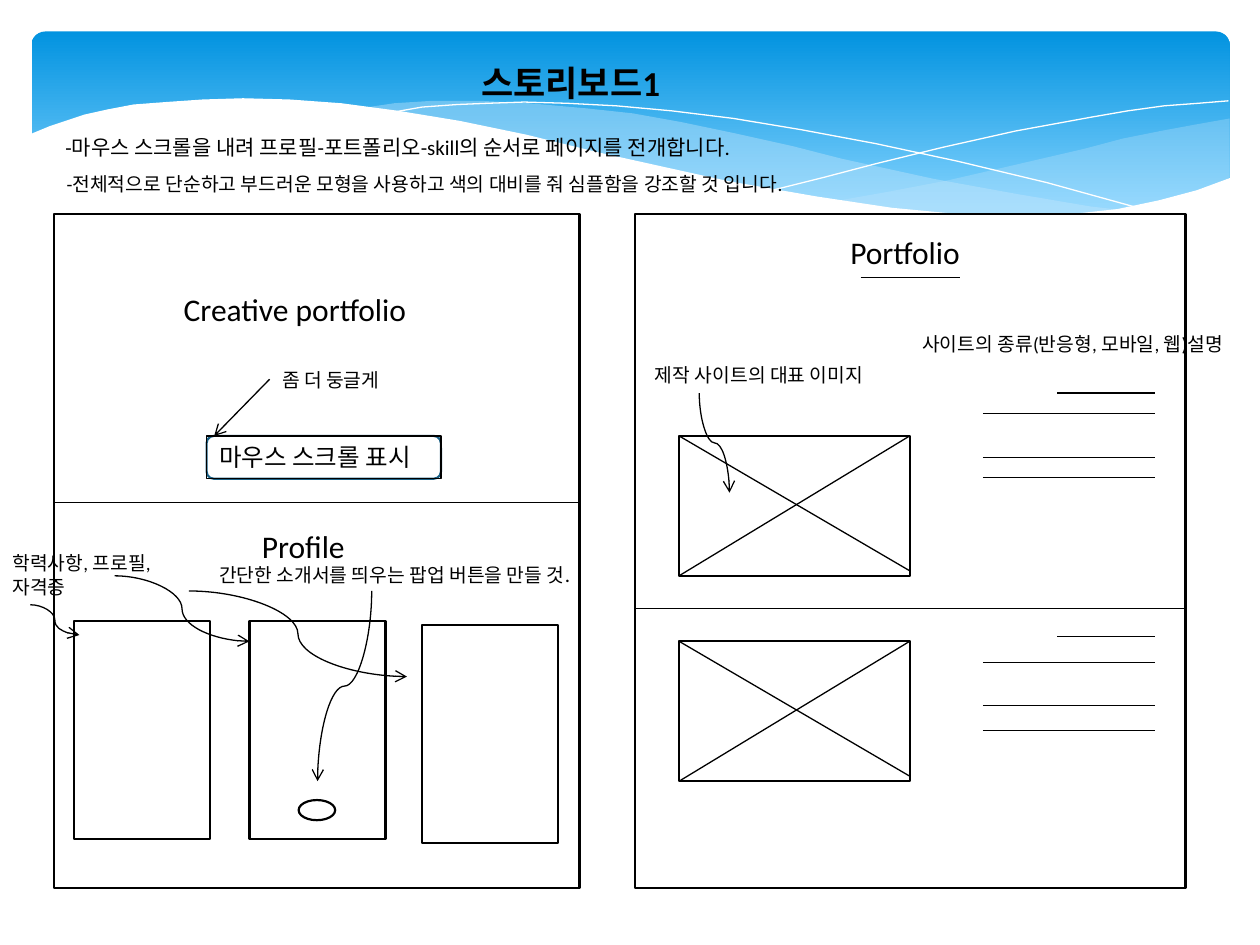
from lxml.etree import SubElement as Sub
from pptx import Presentation
from pptx.dml.color import RGBColor as Color
from pptx.enum.shapes import MSO_CONNECTOR as Link, MSO_SHAPE as Kind
from pptx.enum.text import MSO_AUTO_SIZE as Fit, PP_ALIGN as Align
from pptx.oxml.ns import qn
from pptx.util import Inches, Pt

HUES = {"ink": "000000", "paper": "FFFFFF", "sky": "0293E0", "pale": "83D3FE",
        "mist": "C6E7FC", "edge": "195F84"}

RIGHT_WAVE = [
    (9.76, 0.94), (9.48, 0.99), (9.21, 1.04), (8.91, 1.1), (8.61, 1.18), (8.05, 1.31),
    (7.53, 1.43), (7.06, 1.52), (6.61, 1.6), (6.91, 1.64), (7.32, 1.68), (7.69, 1.71),
    (8.03, 1.72), (8.35, 1.72), (8.63, 1.7), (8.89, 1.66), (9.21, 1.6), (9.49, 1.52),
    (9.76, 1.41)]
LONG_WAVE = [
    (8.93, 1.67), (8.66, 1.64), (8.07, 1.54), (7.41, 1.42), (6.68, 1.26), (6.29, 1.16),
    (5.84, 1.06), (5.41, 0.97), (5.02, 0.9), (4.65, 0.86), (4.2, 0.82), (3.8, 0.8),
    (3.44, 0.8), (3.13, 0.82), (2.86, 0.86), (3.23, 0.9), (3.62, 0.97), (4.04, 1.06),
    (4.49, 1.16), (4.91, 1.26), (5.3, 1.35), (5.66, 1.43), (6.01, 1.5), (6.34, 1.56),
    (6.65, 1.61), (6.95, 1.65), (7.36, 1.69), (7.73, 1.72), (8.07, 1.73), (8.38, 1.72),
    (8.67, 1.7)]
DOWN_CURVE = [
    (3.09, 0.9), (3.18, 0.88), (3.35, 0.85), (3.63, 0.83), (3.87, 0.82), (4.16, 0.81),
    (4.5, 0.82), (4.89, 0.84), (5.33, 0.88), (5.82, 0.94), (6.36, 1.03), (6.95, 1.14),
    (7.6, 1.28), (8.31, 1.45), (9.07, 1.66)]
UP_CURVE = [
    (6.13, 1.51), (6.53, 1.41), (6.95, 1.3), (7.48, 1.17), (8.06, 1.04), (8.66, 0.93),
    (8.95, 0.88), (9.24, 0.84), (9.51, 0.82), (9.75, 0.8)]
WHITE_WAVE = [
    (9.77, 1.41), (9.5, 1.51), (9.2, 1.59), (8.87, 1.66), (8.5, 1.7), (8.09, 1.71),
    (7.61, 1.7), (7.08, 1.65), (6.48, 1.56), (5.79, 1.44), (5.29, 1.33), (4.75, 1.21),
    (4.18, 1.07), (3.65, 0.96), (3.16, 0.88), (2.71, 0.82), (2.3, 0.79), (1.93, 0.78),
    (1.61, 0.79), (1.32, 0.81), (1.06, 0.83), (0.85, 0.87), (0.67, 0.91), (0.52, 0.96),
    (0.4, 1), (0.23, 1.07), (0.23, 2.24), (9.77, 2.24)]


def hue(name):
    return Color.from_string(HUES[name])


def write(frame, text, size=11, bold=False, ink="ink", font="Calibri"):
    para = frame.paragraphs[0]
    para.alignment = Align.LEFT
    run = para.add_run()
    run.text = text
    run.font.name, run.font.size, run.font.bold = font, Pt(size), bold
    run.font.color.rgb = hue(ink)


class Board:
    def __init__(self, slide):
        self.slide = slide
        self.shapes = slide.shapes
        self.thin, self.thick = 0.75, 1.25

    def stroke(self, item, ink, width):
        item.line.color.rgb = hue(ink)
        item.line.width = Pt(width)

    def box(self, left, top, width, height, kind=Kind.RECTANGLE, ink="ink"):
        item = self.shapes.add_shape(kind, *map(Inches, (left, top, width, height)))
        item.shadow.inherit = False
        item.fill.solid()
        item.fill.fore_color.rgb = hue("paper")
        if ink:
            self.stroke(item, ink, self.thick)
        else:
            item.line.fill.background()
        return item

    def banner(self, left, top, width, height):
        item = self.box(left, top, width, height, Kind.ROUNDED_RECTANGLE, None)
        item.adjustments[0] = 0.07
        item.fill.gradient()
        item.fill.gradient_angle = 270
        for stop, (place, name) in zip(item.fill.gradient_stops, ((0, "sky"), (0.9, "pale"))):
            stop.position = place
            stop.color.rgb = hue(name)

    def wave(self, points, fill=None, alpha=100):
        spots = [(Inches(x), Inches(y)) for x, y in points]
        form = self.shapes.build_freeform(*spots[0])
        form.add_line_segments(spots[1:], close=bool(fill))
        item = form.convert_to_shape()
        item.shadow.inherit = False
        if not fill:
            item.fill.background()
            self.stroke(item, "paper", 0)
            return
        item.line.fill.background()
        item.fill.solid()
        item.fill.fore_color.rgb = hue(fill)
        if alpha < 100:
            tint = item._element.spPr.find(qn("a:solidFill"))[0]
            Sub(tint, qn("a:alpha"), val=str(alpha * 1000))

    def text(self, words, left, top, width, height, wrap=False, frame=False, **style):
        item = self.shapes.add_textbox(*map(Inches, (left, top, width, height)))
        item.text_frame.word_wrap = wrap
        item.text_frame.auto_size = Fit.SHAPE_TO_FIT_TEXT
        if frame:
            self.stroke(item, "ink", self.thin)
        write(item.text_frame, words, **style)
        return item

    def line(self, x1, y1, x2, y2, kind=Link.STRAIGHT, arrow=False):
        item = self.shapes.add_connector(kind, *map(Inches, (x1, y1, x2, y2)))
        self.stroke(item, "ink", self.thin)
        props = item._element.spPr
        if arrow:
            Sub(props.find(qn("a:ln")), qn("a:tailEnd"), type="arrow")
        Sub(props, qn("a:effectLst"))
        return item

    def curve(self, x1, y1, x2, y2):
        self.line(x1, y1, x2, y2, Link.CURVE, True)

    def drop(self, x1, y1, x2, y2):
        mid, half = (x1 + x2) / 2, (y2 - y1) / 2
        high = (y1 + y2 - abs(x2 - x1)) / 2
        low = high + abs(x2 - x1)
        start, end = (mid - half, mid + half) if x2 < x1 else (mid + half, mid - half)
        item = self.line(start, high, end, low, Link.CURVE, True)
        turn = 90 if x2 < x1 else 270
        item._element.spPr.find(qn("a:xfrm")).set("rot", str(turn * 60000))

    def image(self, left, top, width=1.83, height=1.11):
        self.box(left, top, width, height)
        self.line(left, top, left + width, top + height - 0.04)
        self.line(left, top + height, left + width, top)


def main():
    deck = Presentation()
    deck.slide_width, deck.slide_height = Inches(10), Inches(7.5)
    board = Board(deck.slides.add_slide(deck.slide_layouts[6]))

    board.banner(0.25, 0.25, 9.51, 1.56)
    board.wave(RIGHT_WAVE, "mist", 29)
    board.wave(LONG_WAVE, "mist", 40)
    board.wave(DOWN_CURVE)
    board.wave(UP_CURVE)
    board.wave(WHITE_WAVE, "paper")

    board.text("스토리보드1", 3.72, 0.44, 2.76, 0.44, wrap=True, size=20, bold=True)
    board.text("-마우스 스크롤을 내려 프로필-포트폴리오-skill의 순서로 페이지를 전개합니다.",
               0.42, 1.02, 5.91, 0.3, size=12)
    board.text("-전체적으로 단순하고 부드러운 모형을 사용하고 색의 대비를 줘 심플함을 강조할 것 입니다.",
               0.43, 1.32, 6.31, 0.29)

    for left, width, split in ((0.43, 4.17, 3.99), (5.04, 4.37, 4.83)):
        board.box(left, 1.7, width, 5.35)
        board.line(left, split, left + width, split)

    board.text("Creative portfolio", 1.36, 2.25, 2.07, 0.4, size=18)
    board.box(1.64, 3.46, 1.86, 0.34, Kind.ROUNDED_RECTANGLE, "edge")
    board.text("마우스 스크롤 표시", 1.64, 3.46, 1.86, 0.34, frame=True, size=14)
    board.text("좀 더 둥글게", 2.14, 2.87, 1.04, 0.29)
    board.line(2.14, 3.01, 1.7, 3.46, arrow=True)

    for left, top in ((0.59, 4.93), (1.98, 4.93), (3.35, 4.96)):
        board.box(left, top, 1.08, 1.73)
    board.box(2.37, 6.35, 0.29, 0.16, Kind.OVAL)
    board.text("Profile", 1.98, 4.13, 0.9, 0.4, size=18)
    board.text("학력사항, 프로필, 자격증", 0, 4.33, 1.67, 0.47, wrap=True)
    popup = board.text("간단한 소개서를 띄우는 팝업 버튼을 만들 것", 1.64, 4.41, 3.22, 0.3, wrap=True)
    write(popup.text_frame, ".", size=12)
    board.curve(0.24, 4.8, 0.63, 5.04)
    board.curve(0.91, 4.57, 1.98, 5.09)
    board.curve(1.5, 4.69, 3.23, 5.37)
    board.drop(2.95, 4.69, 2.52, 6.2)

    board.text("Portfolio", 6.65, 1.8, 1.14, 0.4, size=18)
    board.line(6.83, 2.2, 7.62, 2.2)
    for top in (3.46, 5.09):
        board.image(5.39, top)
    for first, *rest in ((3.12, 3.28, 3.63, 3.79), (5.05, 5.26, 5.6, 5.8)):
        board.line(8.39, first, 9.17, first)
        for y in rest:
            board.line(7.8, y, 9.17, y)
    board.text("제작 사이트의 대표 이미지", 5.1, 2.83, 2, 0.29, wrap=True)
    board.text("사이트의 종류(반응형, 모바일, 웹)설명", 7.22, 2.59, 2.8, 0.29, wrap=True)
    board.drop(5.55, 3.12, 5.79, 3.91)

    deck.save("out.pptx")


if __name__ == "__main__":
    main()
